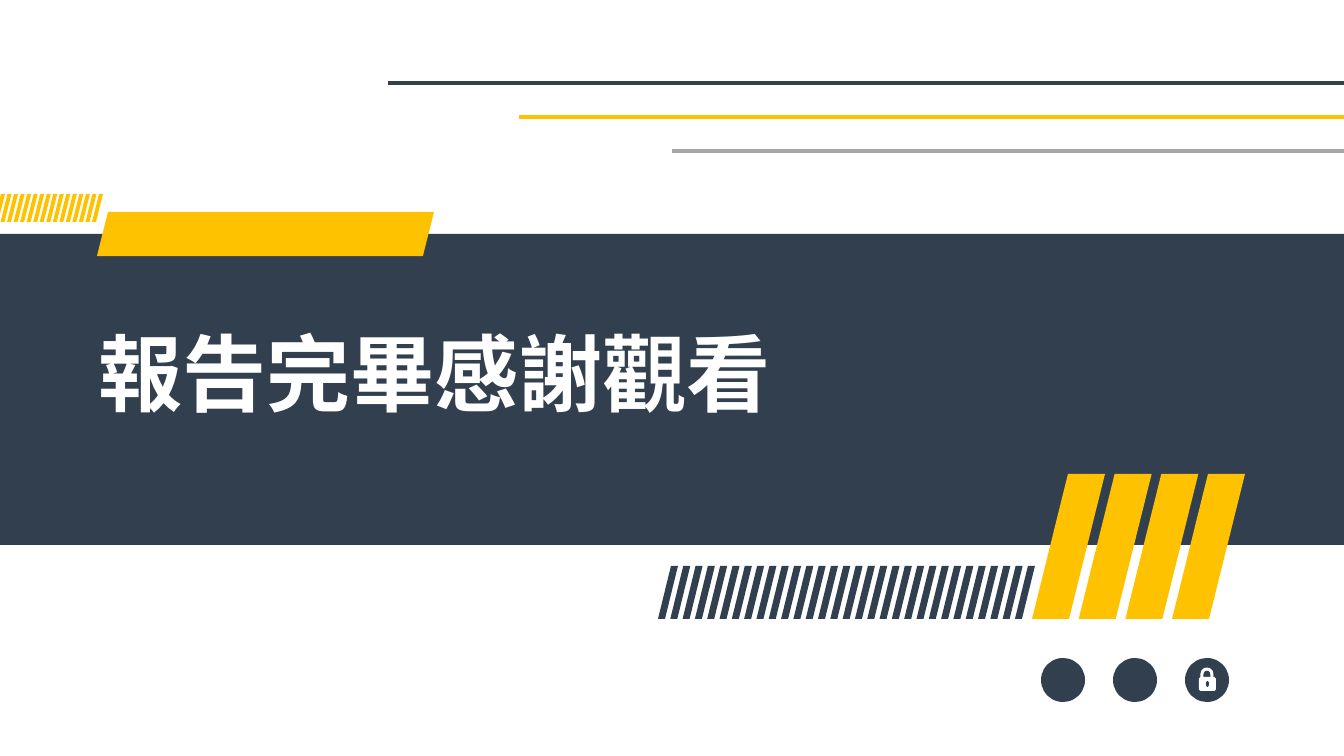
from lxml.etree import SubElement
from pptx import Presentation
from pptx.dml.color import RGBColor
from pptx.enum.shapes import MSO_CONNECTOR, MSO_SHAPE
from pptx.enum.text import MSO_ANCHOR, MSO_AUTO_SIZE, PP_ALIGN
from pptx.oxml.ns import qn
from pptx.util import Pt

EMU_PER_PX = 12192000 / 1344
SLIDE_WIDTH, SLIDE_HEIGHT = 1344, 756
FONT = "Noto Sans CJK SC"
COLORS = {
    "navy": "323F4F",
    "yellow": "FFC200",
    "gray": "A6A6A6",
    "white": "FFFFFF",
}


def px(length):
    return round(length * EMU_PER_PX)


def rgb(name):
    return RGBColor.from_string(COLORS[name])


def fill_plain(shape, color):
    shape.shadow.inherit = False
    shape.fill.solid()
    shape.fill.fore_color.rgb = rgb(color)
    shape.line.fill.background()
    return shape


def add_preset(shapes, preset, box, color):
    shape = shapes.add_shape(preset, *map(px, box))
    return fill_plain(shape, color)


def add_rule(shapes, left, top, right, color):
    rule = shapes.add_connector(
        MSO_CONNECTOR.STRAIGHT, px(left), px(top), px(right), px(top)
    )
    rule.line.color.rgb = rgb(color)
    rule.line.width = Pt(2.25)
    SubElement(rule.element.spPr, qn("a:effectLst"))


def write_text(shape, text, *, size, color, bold, align, line_spacing):
    paragraph = shape.text_frame.paragraphs[0]
    paragraph.alignment = align
    paragraph.line_spacing = line_spacing
    run = paragraph.add_run()
    run.text = text
    run.font.size = Pt(size)
    run.font.bold = bold
    run.font.name = FONT
    run.font.color.rgb = rgb(color)
    east_asian = SubElement(run.font._element, qn("a:ea"))
    east_asian.set("typeface", FONT)


def add_stripes(shapes, box, count, thickness, lean, color):
    left, top, width, height = box
    pitch = (width - thickness - lean) / (count - 1)
    for index in range(count):
        foot = left + index * pitch
        builder = shapes.build_freeform(px(foot + lean), px(top))
        corners = [
            (foot + lean + thickness, top),
            (foot + thickness, top + height),
            (foot, top + height),
        ]
        builder.add_line_segments([(px(x), px(y)) for x, y in corners])
        fill_plain(builder.convert_to_shape(), color)


def add_header_rules(shapes, box):
    left, top, width, height = box
    rules = [(0, "navy"), (131, "yellow"), (284, "gray")]
    gap = height / (len(rules) - 1)
    for index, (indent, color) in enumerate(rules):
        add_rule(shapes, left + indent, top + index * gap, left + width, color)


def add_title_band(slide, box):
    left, top, width, height = box
    shapes = slide.shapes
    add_preset(shapes, MSO_SHAPE.RECTANGLE, box, "navy")
    tab_box = (left + 97, top - 22, 337, 44)
    add_preset(shapes, MSO_SHAPE.PARALLELOGRAM, tab_box, "yellow")

    title = shapes.title
    shapes.element.append(title.element)
    title.left, title.top = px(left + 88), px(top + 62)
    title.width, title.height = px(968), px(122)
    frame = title.text_frame
    frame.word_wrap = True
    frame.auto_size = MSO_AUTO_SIZE.SHAPE_TO_FIT_TEXT
    frame.vertical_anchor = MSO_ANCHOR.TOP
    write_text(
        title,
        "報告完畢感謝觀看",
        size=60,
        color="white",
        bold=True,
        align=PP_ALIGN.JUSTIFY,
        line_spacing=1.2,
    )


def add_padlock(shapes, box):
    left, top, width, height = box
    center = left + width / 2
    shackle_box = (center - 5, top + 11, 10, 18)
    shackle = add_preset(shapes, MSO_SHAPE.ROUNDED_RECTANGLE, shackle_box, "navy")
    shackle.adjustments[0] = 0.5
    shackle.line.color.rgb = rgb("white")
    shackle.line.width = px(3)
    body_box = (center - 8, top + 19, 17, 14)
    add_preset(shapes, MSO_SHAPE.ROUNDED_RECTANGLE, body_box, "white")
    add_preset(shapes, MSO_SHAPE.OVAL, (center - 1, top + 23, 3, 6), "navy")


def add_badges(shapes, box):
    left, top, width, height = box
    count = 3
    pitch = (width - height) / (count - 1)
    for index in range(count):
        badge_box = (left + index * pitch, top, height, height)
        add_preset(shapes, MSO_SHAPE.OVAL, badge_box, "navy")
    add_padlock(shapes, badge_box)


def build_closing_slide(presentation):
    slide = presentation.slides.add_slide(presentation.slide_layouts[5])
    shapes = slide.shapes
    add_title_band(slide, (0, 234, SLIDE_WIDTH, 311))
    add_header_rules(shapes, (388, 83, SLIDE_WIDTH - 388, 68))
    add_stripes(shapes, (1032, 474, 213, 145), 4, 37, 36, "yellow")
    add_stripes(shapes, (658, 566, 377, 53), 30, 7, 13, "navy")
    add_stripes(shapes, (-6, 194, 109, 28), 16, 4, 7, "yellow")
    add_badges(shapes, (1041, 658, 188, 44))


def main():
    presentation = Presentation()
    presentation.slide_width = px(SLIDE_WIDTH)
    presentation.slide_height = px(SLIDE_HEIGHT)
    build_closing_slide(presentation)
    presentation.save("out.pptx")


if __name__ == "__main__":
    main()
